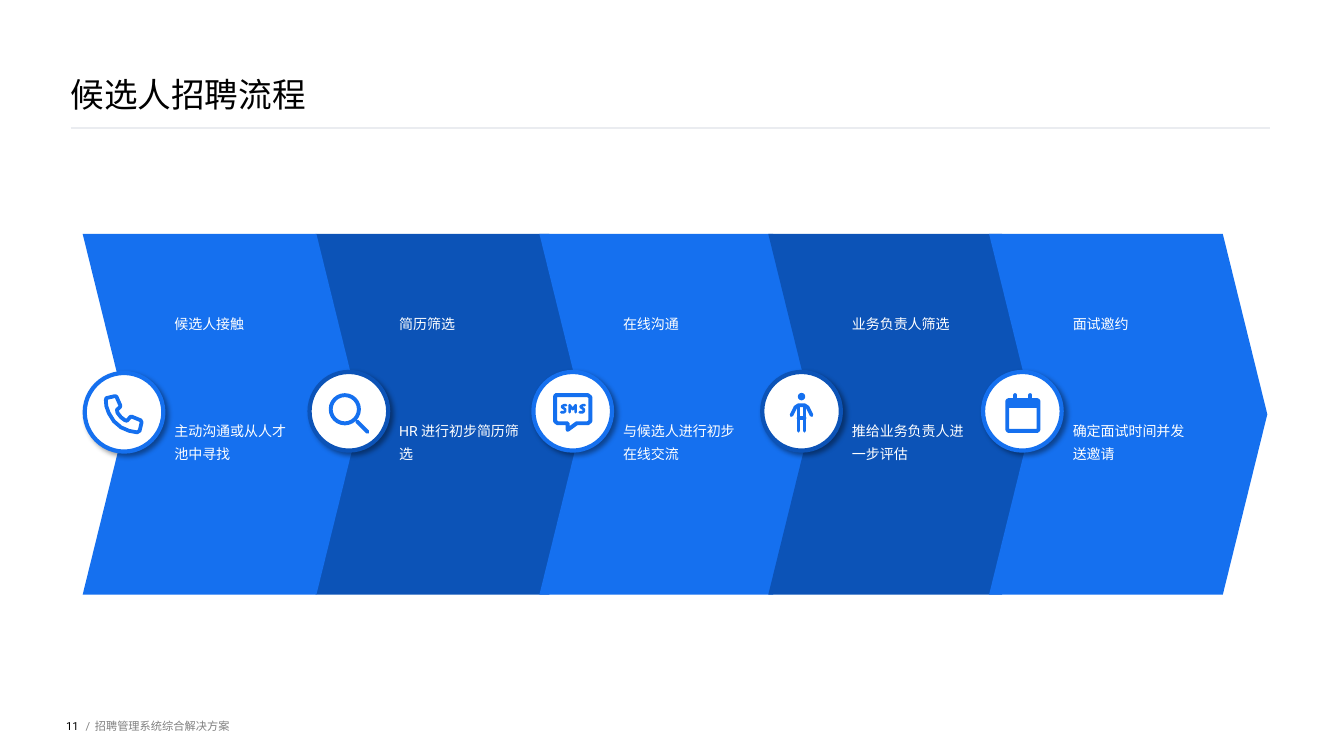
from lxml import etree
from pptx import Presentation
from pptx.dml.color import RGBColor
from pptx.enum.shapes import MSO_CONNECTOR, MSO_SHAPE
from pptx.enum.text import MSO_ANCHOR, PP_ALIGN
from pptx.oxml import parse_xml
from pptx.oxml.ns import nsdecls, qn
from pptx.util import Inches, Pt

CHEVRON, OVAL = MSO_SHAPE.CHEVRON, MSO_SHAPE.OVAL
STRAIGHT = MSO_CONNECTOR.STRAIGHT
MIDDLE, BOTTOM = MSO_ANCHOR.MIDDLE, MSO_ANCHOR.BOTTOM
LEFT, RIGHT = PP_ALIGN.LEFT, PP_ALIGN.RIGHT

BLUE, NAVY, WHITE, BLACK = "1570EF", "0C53B7", "FFFFFF", "000000"
GREY, RULE = "808080", "EAECF0"

STEPS = [
    ("候选人接触", "主动沟通或从人才池中寻找", 0.82, 1.23, 4.09, 1.73, "phone"),
    ("简历筛选", "HR 进行初步简历筛选", 3.13, 3.46, 4.08, 3.96, "search"),
    ("在线沟通", "与候选人进行初步在线交流", 5.35, 5.68, 4.08, 6.18, "sms"),
    ("业务负责人筛选", "推给业务负责人进一步评估", 7.62, 7.95, 4.08, 8.45, "person"),
    ("面试邀约", "确定面试时间并发送邀请", 9.81, 10.14, 4.08, 10.64, "calendar"),
]
LABELS = [
    ("候选人招聘流程", (0.7, 0, 11.94, 1.13), 24, BLACK, BOTTOM, LEFT),
    ("/", (0.85, 6.91, 0.09, 0.59), 8, GREY, MIDDLE, LEFT),
    ("招聘管理系统综合解决方案", (0.94, 6.9, 8.61, 0.6), 8, GREY, MIDDLE, LEFT),
    ("11", (0.47, 6.9, 0.31, 0.6), 8, BLACK, MIDDLE, RIGHT),
]

LETTER_S = [(3, -6), (1, -6), (-1, -5), (-1, -4), (2, -2), (2, 0), (1, 1), (-2, 1)]
LETTER_M = [(-3, 1), (-3, -6), (0, -2), (3, -6), (3, 1)]


def shift(points, dx):
    return [(x + dx, y) for x, y in points]


STROKES = {
    "phone": [(2.7, True, None, [
        (-17.5, -14), (-9, -16), (-7.5, -15.5), (-3.5, -6.5), (-4, -5), (-7, -2.5),
        (-6.5, 0.5), (-3, 5), (1, 8), (3, 8.5), (6.5, 4.5), (8, 4.5), (16.5, 8),
        (17.5, 10), (15.5, 18.5), (13, 20), (5, 18.5), (-3, 15), (-10, 9),
        (-15, 1), (-17.5, -6), (-18, -12)])],
    "search": [(2.8, False, None, [(8, 10), (18.5, 20.5)])],
    "sms": [
        (2.8, True, None, [
            (-17, -16), (15, -16), (17.5, -14), (17.5, 10), (15, 12), (4, 12),
            (-5, 18.5), (-5, 12), (-15, 12), (-17.5, 10), (-17.5, -14)]),
        (1.8, False, None, shift(LETTER_S, -9.5)),
        (1.8, False, None, LETTER_M),
        (1.8, False, None, shift(LETTER_S, 9)),
    ],
    "person": [
        (2.6, False, None, [
            (-10, 4), (-6, -4), (-3, -6), (3, -6), (6, -4), (10, 4)]),
        (2.6, False, None, [(-3, -5), (-3, 19.5)]),
        (2.6, False, None, [(3, -5), (3, 19.5)]),
        (2.6, False, None, [(-3, 7), (3, 7)]),
    ],
    "calendar": [
        (2.8, True, None, [
            (-14, -11), (15, -11), (16, -10), (16, 18), (15, 19.5),
            (-14, 19.5), (-15, 18), (-15, -10)]),
        (1, True, BLUE, [(-15, -10), (16, -10), (16, -4), (-15, -4)]),
        (2.8, False, None, [(-7, -16), (-7, -10)]),
        (2.8, False, None, [(8, -16), (8, -10)]),
    ],
}
RINGS = {"search": (-4, -2, 14, None, 2.8), "person": (0, -14.5, 3, BLUE, 1)}

prs = Presentation()
prs.slide_width, prs.slide_height = Inches(13.33), Inches(7.5)
s = prs.slides.add_slide(prs.slide_layouts[6])


def rgb(value):
    return RGBColor.from_string(value)


def paint(sp, fill, line=None, width=0):
    sp.shadow.inherit = False
    if fill:
        sp.fill.solid()
        sp.fill.fore_color.rgb = rgb(fill)
    else:
        sp.fill.background()
    if line:
        sp.line.color.rgb = rgb(line)
        sp.line.width = Pt(width)
    else:
        sp.line.fill.background()


def add_preset(kind, box, fill, line=None, width=0):
    sp = s.shapes.add_shape(kind, *map(Inches, box))
    paint(sp, fill, line, width)
    return sp


def add_line(a, b, color, width):
    cn = s.shapes.add_connector(STRAIGHT, *map(Inches, a + b))
    cn.line.color.rgb = rgb(color)
    cn.line.width = Pt(width)
    etree.SubElement(cn._element.spPr, qn("a:effectLst"))
    return cn


def add_stroke(cx, cy, width, closed, fill, points):
    pts = [(cx + x / 100, cy + y / 100) for x, y in points]
    if len(pts) == 2:
        sp = add_line(*pts, BLUE, width)
    else:
        emu = [(Inches(x), Inches(y)) for x, y in pts]
        fb = s.shapes.build_freeform(*emu[0])
        fb.add_line_segments(emu[1:], close=closed)
        sp = fb.convert_to_shape()
        paint(sp, fill, BLUE, width)
    ln = sp.line._get_or_add_ln()
    ln.set("cap", "rnd")
    etree.SubElement(ln, qn("a:round"))


def add_text(text, box, size, color, anchor, align=LEFT, **spacing):
    tf = s.shapes.add_textbox(*map(Inches, box)).text_frame
    frame = dict(word_wrap=True, vertical_anchor=anchor, margin_left=0,
                 margin_right=0, margin_top=0, margin_bottom=0)
    p = tf.paragraphs[0]
    r = p.add_run()
    r.text = text
    for obj, values in ((tf, frame), (p, dict(alignment=align, **spacing)),
                        (r.font, dict(name="Roboto", size=Pt(size)))):
        for key, value in values.items():
            setattr(obj, key, value)
    r.font.color.rgb = rgb(color)


def add_disc(cx, cy, color):
    sp = add_preset(OVAL, (cx - 0.39, cy - 0.39, 0.78, 0.78), WHITE, color, 3)
    spPr = sp._element.spPr
    spPr.remove(spPr.find(qn("a:effectLst")))
    spPr.append(parse_xml(
        f'<a:effectLst {nsdecls("a")}><a:outerShdw blurRad="{Pt(3.8)}" dist="{Pt(3)}" '
        f'dir="2700000" algn="tl" rotWithShape="0"><a:srgbClr val="{BLACK}">'
        '<a:alpha val="40000"/></a:srgbClr></a:outerShdw></a:effectLst>'))


add_line((0.7, 1.27), (12.6, 1.27), RULE, 2)
for label in LABELS:
    add_text(*label)

colors = [NAVY if i % 2 else BLUE for i in range(len(STEPS))]
pairs = list(zip(STEPS, colors))
for step, color in pairs[1:] + pairs[:1]:
    sp = add_preset(CHEVRON, (step[2], 2.32, 2.76, 3.58), color)
    sp.adjustments[0] = 0.16

for (name, detail, _, cx, cy, text_x, icon), color in pairs:
    add_disc(cx, cy, color)
    if icon in RINGS:
        dx, dy, radius, fill, width = RINGS[icon]
        x, y, d = cx + (dx - radius) / 100, cy + (dy - radius) / 100, radius / 50
        add_preset(OVAL, (x, y, d, d), fill, BLUE, width)
    for stroke in STROKES[icon]:
        add_stroke(cx, cy, *stroke)
    add_text(detail, (text_x, 3.4, 1.23, 1.91), 10, WHITE, MIDDLE,
             line_spacing=1.4, space_after=Pt(10))
    add_text(name, (text_x, 2.88, 1.23, 0.42), 10, WHITE, BOTTOM)

prs.save("out.pptx")
